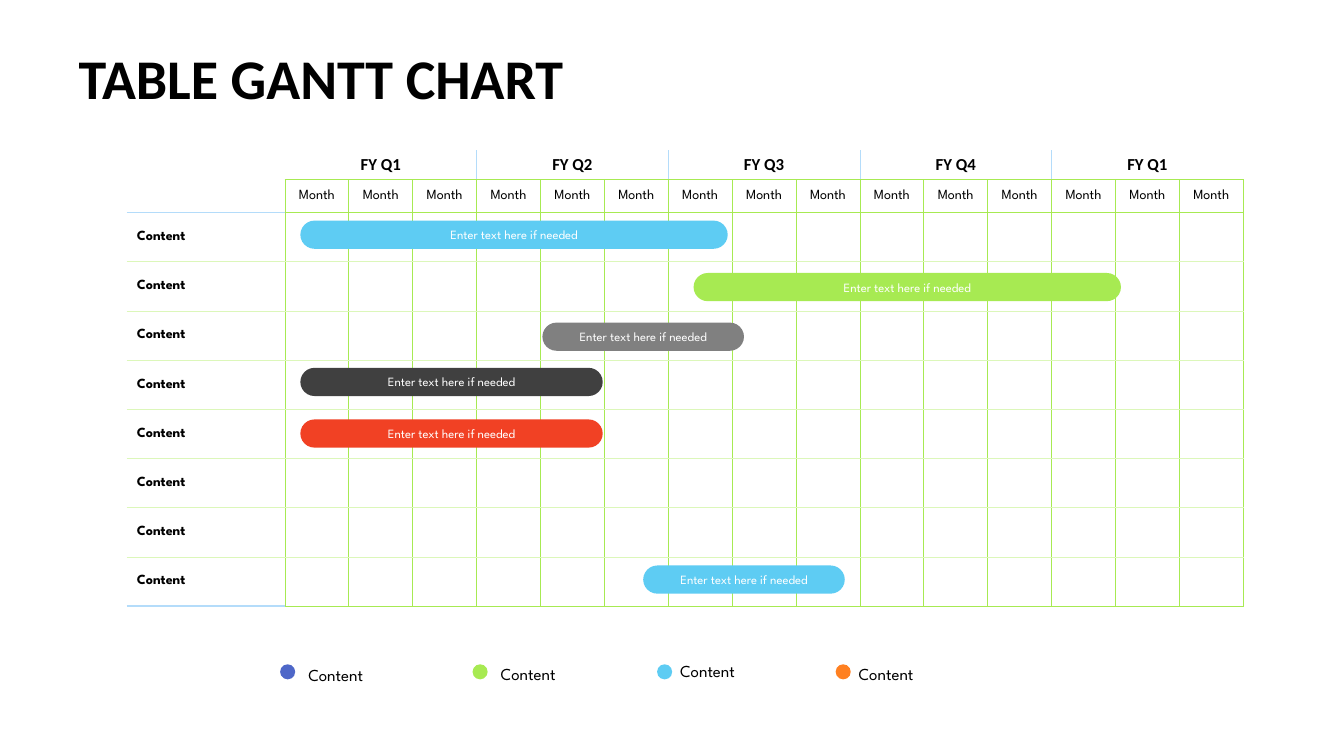
from dataclasses import dataclass
from typing import Optional

from lxml.etree import SubElement
from pptx import Presentation
from pptx.dml.color import RGBColor
from pptx.enum.shapes import MSO_SHAPE as Preset
from pptx.enum.text import MSO_ANCHOR as Anchor, MSO_AUTO_SIZE as AutoSize, PP_ALIGN as Align
from pptx.oxml.ns import qn
from pptx.util import Cm, Pt

COLORS = {
    "black": "000000", "white": "FFFFFF", "green": "A7EA52", "pale green": "DCF7BA",
    "pale blue": "B4DCFA", "sky": "5ECCF3", "indigo": "4E67C8", "orange": "FF8021",
    "gray": "808080", "charcoal": "404040", "red": "F14124",
}
HEADING_FONT = "Calibri"
BODY_FONT = "League Spartan"
QUARTERS = ["FY Q1", "FY Q2", "FY Q3", "FY Q4", "FY Q1"]
MONTHS_PER_QUARTER = 3
MONTH_COUNT = len(QUARTERS) * MONTHS_PER_QUARTER
TASK_COUNT = 8
LABEL_WIDTH, MONTH_WIDTH = 3.98, 1.61
ROW_HEIGHTS = [0.74, 0.83] + [1.24] * TASK_COUNT
BAR_HEIGHT = 0.71
DOT_SIZE, DOT_TOP = 0.38, 16.74


@dataclass(frozen=True)
class Border:
    color: str
    width: float


@dataclass(frozen=True)
class Bar:
    left: float
    top: float
    length: float
    color: str


@dataclass(frozen=True)
class LegendItem:
    color: str
    dot_left: float
    label_left: float
    label_top: float


GRID = Border("green", 0.5)
ROW_LINE = Border("pale green", 0.25)
QUARTER_LINE = Border("pale blue", 0.5)
LABEL_LINE = Border("pale blue", 1)

BARS = [
    Bar(7.57, 5.56, 10.77, "sky"),
    Bar(17.48, 6.88, 10.77, "green"),
    Bar(7.57, 9.27, 7.62, "charcoal"),
    Bar(7.57, 10.57, 7.62, "red"),
    Bar(16.21, 14.25, 5.08, "sky"),
    Bar(13.67, 8.13, 5.08, "gray"),
]
LEGEND = [
    LegendItem("indigo", 7.06, 7.57, 16.64),
    LegendItem("green", 11.91, 12.42, 16.62),
    LegendItem("sky", 16.56, 16.94, 16.56),
    LegendItem("orange", 21.06, 21.44, 16.62),
]


def write_text(frame, text: str, *, size: float, font: str = BODY_FONT, color: str = "black",
               bold: bool = False, align=Align.LEFT, line_spacing: float = 1.0) -> None:
    paragraph = frame.paragraphs[0]
    paragraph.alignment = align
    paragraph.line_spacing = line_spacing
    run = paragraph.add_run()
    run.text = text
    run.font.size = Pt(size)
    run.font.name = font
    run.font.bold = bold
    run.font.color.rgb = RGBColor.from_string(COLORS[color])


def set_borders(cell, left: Optional[Border], right: Optional[Border],
                top: Optional[Border], bottom: Optional[Border]) -> None:
    properties = cell._tc.get_or_add_tcPr()
    for side, border in zip("LRTB", (left, right, top, bottom)):
        line = SubElement(properties, qn(f"a:ln{side}"))
        if border is None:
            SubElement(line, qn("a:noFill"))
            continue
        line.set("w", str(Pt(border.width)))
        fill = SubElement(line, qn("a:solidFill"))
        SubElement(fill, qn("a:srgbClr")).set("val", COLORS[border.color])


def style_cell(cell, row: int, column: int) -> None:
    first_task, last_task = row == 2, row == len(ROW_HEIGHTS) - 1
    if row == 0:
        quarter = (column - 1) // MONTHS_PER_QUARTER
        set_borders(cell, QUARTER_LINE if quarter > 0 else None,
                    QUARTER_LINE if 0 <= quarter < len(QUARTERS) - 1 and column else None,
                    None, GRID if column else None)
    elif column == 0:
        top = None if row == 1 else LABEL_LINE if first_task else ROW_LINE
        set_borders(cell, None, GRID, top, LABEL_LINE if row == 1 or last_task else ROW_LINE)
    else:
        set_borders(cell, GRID, GRID, GRID if row <= 2 else ROW_LINE,
                    GRID if row == 1 or last_task else ROW_LINE)
    cell.fill.background()
    cell.vertical_anchor = Anchor.MIDDLE
    cell.margin_left = Cm(0.25) if column == 0 else Cm(0.23)
    cell.margin_right = Cm(0.23)
    cell.margin_top = cell.margin_bottom = Cm(0.08) if row < 2 else Cm(0)
    cell.text_frame.paragraphs[0]._p.get_or_add_endParaRPr().set("sz", "900")


def add_schedule(slide) -> None:
    width = LABEL_WIDTH + MONTH_COUNT * MONTH_WIDTH
    frame = slide.shapes.add_table(len(ROW_HEIGHTS), MONTH_COUNT + 1, Cm(3.2), Cm(3.78),
                                   Cm(width), Cm(sum(ROW_HEIGHTS)))
    table = frame.table
    table.first_row = table.horz_banding = False
    for index, column in enumerate(table.columns):
        column.width = Cm(MONTH_WIDTH if index else LABEL_WIDTH)
    for row, height in enumerate(ROW_HEIGHTS):
        table.rows[row].height = Cm(height)
        for column in range(MONTH_COUNT + 1):
            style_cell(table.cell(row, column), row, column)
    for index, quarter in enumerate(QUARTERS):
        start = 1 + index * MONTHS_PER_QUARTER
        cell = table.cell(0, start)
        cell.merge(table.cell(0, start + MONTHS_PER_QUARTER - 1))
        write_text(cell.text_frame, quarter, size=12, font=HEADING_FONT, bold=True,
                   align=Align.CENTER, line_spacing=0.95)
    for column in range(1, MONTH_COUNT + 1):
        write_text(table.cell(1, column).text_frame, "Month", size=10,
                   align=Align.CENTER, line_spacing=0.95)
    for row in range(2, len(ROW_HEIGHTS)):
        write_text(table.cell(row, 0).text_frame, "Content", size=10, bold=True,
                   line_spacing=0.9)


def add_filled_shape(slide, preset, left: float, top: float, width: float, height: float,
                     color: str):
    shape = slide.shapes.add_shape(preset, Cm(left), Cm(top), Cm(width), Cm(height))
    shape.shadow.inherit = False
    shape.fill.solid()
    shape.fill.fore_color.rgb = RGBColor.from_string(COLORS[color])
    shape.line.fill.background()
    return shape


def set_insets(frame) -> None:
    frame.margin_left = frame.margin_right = Cm(0.2)
    frame.margin_top = frame.margin_bottom = Cm(0.1)


def add_bar(slide, bar: Bar) -> None:
    shape = add_filled_shape(slide, Preset.ROUNDED_RECTANGLE, bar.left, bar.top, bar.length,
                             BAR_HEIGHT, bar.color)
    shape.adjustments[0] = 0.5
    frame = shape.text_frame
    set_insets(frame)
    frame.vertical_anchor = Anchor.MIDDLE
    write_text(frame, "Enter text here if needed", size=9, color="white", align=Align.CENTER)


def add_legend_item(slide, item: LegendItem) -> None:
    add_filled_shape(slide, Preset.OVAL, item.dot_left, DOT_TOP, DOT_SIZE, DOT_SIZE, item.color)
    label = slide.shapes.add_textbox(Cm(item.label_left), Cm(item.label_top), Cm(2.11), Cm(0.71))
    frame = label.text_frame
    set_insets(frame)
    frame.word_wrap = False
    write_text(frame, "Content", size=12)


def add_title(slide) -> None:
    title = slide.shapes.title
    title.left, title.top, title.width, title.height = Cm(1.73), Cm(0.97), Cm(13.39), Cm(1.96)
    frame = title.text_frame
    frame.word_wrap = False
    frame.auto_size = AutoSize.NONE
    frame.vertical_anchor = Anchor.MIDDLE
    write_text(frame, "TABLE GANTT CHART", size=40, font=HEADING_FONT, bold=True)


def main() -> None:
    presentation = Presentation()
    presentation.slide_width, presentation.slide_height = Cm(33.87), Cm(19.05)
    slide = presentation.slides.add_slide(presentation.slide_layouts[5])
    add_title(slide)
    add_schedule(slide)
    for item in LEGEND:
        add_legend_item(slide, item)
    for bar in BARS:
        add_bar(slide, bar)
    presentation.save("out.pptx")


if __name__ == "__main__":
    main()
